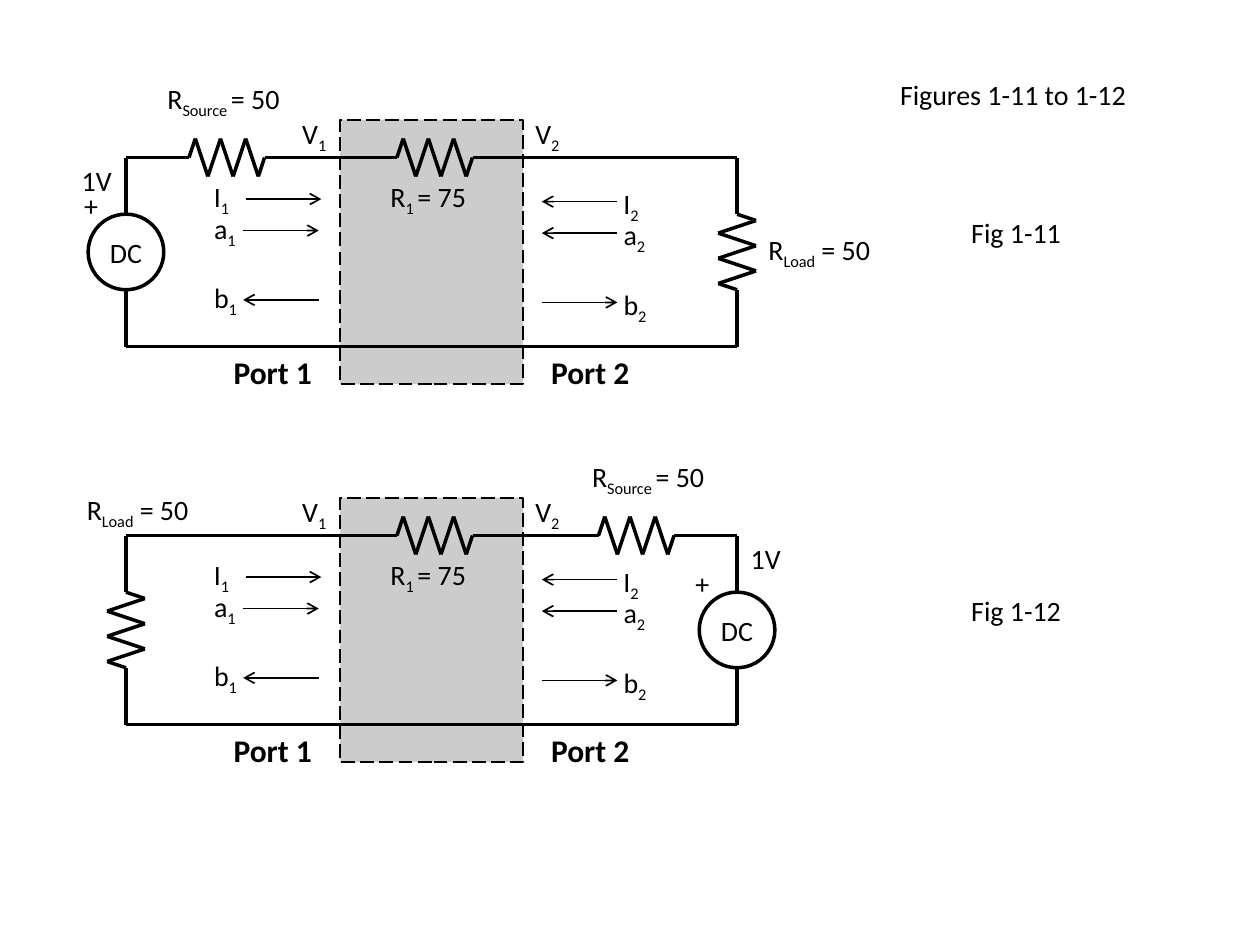
from lxml import etree
from pptx import Presentation
from pptx.dml.color import RGBColor
from pptx.enum.dml import MSO_LINE
from pptx.enum.shapes import MSO_CONNECTOR, MSO_SHAPE
from pptx.enum.text import MSO_ANCHOR, MSO_AUTO_SIZE, PP_ALIGN
from pptx.oxml.ns import qn
from pptx.util import Emu, Pt

STRAIGHT = MSO_CONNECTOR.STRAIGHT
CENTER, LEFT = PP_ALIGN.CENTER, PP_ALIGN.LEFT
BLACK = RGBColor(0, 0, 0)
FONT = "Calibri"
EMU_PER_PX = 9144  # 100 px to the inch

CIRCUIT_WIDTH, CIRCUIT_HEIGHT = 485, 150
PART_SIZE = 60  # length of a resistor, diameter of the source
PART_TOP = 45
R1_LEFT = 215
ZIGZAG = [(0, 0), (5, -15), (15, 15), (25, -15), (35, 15), (45, -15), (55, 15), (60, 0)]


def px(*lengths):
    return [Emu(length * EMU_PER_PX) for length in lengths]


def write(paragraph, parts, size=16, bold=False, align=LEFT):
    """Write the parts as runs; every second one is a subscript."""
    paragraph.alignment = align
    for index, part in enumerate(parts):
        run = paragraph.add_run()
        run.text = part
        run.font.name, run.font.size, run.font.bold = FONT, Pt(size), bold
        run.font.color.rgb = BLACK
        if index % 2:
            run.font._element.set("baseline", "-25000")


def add_label(slide, left, top, width, *parts, height=37, **style):
    frame = slide.shapes.add_textbox(*px(left, top, width, height)).text_frame
    frame.word_wrap = False
    frame.auto_size = MSO_AUTO_SIZE.SHAPE_TO_FIT_TEXT
    write(frame.paragraphs[0], parts, **style)


def add_line(shapes, start, end, width=2, arrow=False):
    connector = shapes.add_connector(STRAIGHT, *px(*start, *end))
    connector.line.color.rgb = BLACK
    connector.line.width = Pt(width)
    if arrow:
        etree.SubElement(connector.line._get_or_add_ln(), qn("a:tailEnd"), type="arrow")
    etree.SubElement(connector._element.spPr, qn("a:effectLst"))


def add_resistor(slide, left, top, vertical=False):
    """Draw a zigzag that starts at the given point."""
    group = slide.shapes.add_group_shape()
    points = [(left - across, top + along) if vertical else (left + along, top + across)
              for along, across in ZIGZAG]
    for start, end in zip(points, points[1:]):
        add_line(group.shapes, start, end)


def add_two_port(slide, left, top):
    box = slide.shapes.add_shape(MSO_SHAPE.RECTANGLE, *px(left + 170, top - 30, 145, 210))
    box.shadow.inherit = False
    box.fill.solid()
    box.fill.fore_color.rgb = BLACK
    color = box._element.spPr.find(qn("a:solidFill"))[0]
    etree.SubElement(color, qn("a:alpha"), val="20000")
    box.line.color.rgb = BLACK
    box.line.width = Pt(1)
    box.line.dash_style = MSO_LINE.LONG_DASH
    add_label(slide, left + 200, top + 13, 82, "R", "1 ", "= 75")


def add_port_labels(slide, left, top):
    ports = [("1", 130, 75, 60, 93, 0), ("2", 315, 327, 385, 330, 5)]
    for port, voltage_left, name_left, wave_left, arrow_left, drop in ports:
        add_label(slide, left + voltage_left, top - 37, 41, "V", port)
        add_label(slide, left + name_left, top + CIRCUIT_HEIGHT, 83, f"Port {port}",
                  height=40, size=18, bold=True, align=CENTER)
        for name, wave_top, width in [("I", 13, 33), ("a", 38, 38), ("b", 93, 39)]:
            add_label(slide, left + wave_left, top + wave_top + drop, width, name, port)
            arrow_y = top + wave_top + 20 + drop * 2 // 5
            nudge = 2 if name + port == "I1" else 0
            start = left + arrow_left + nudge
            ends = [(start, arrow_y), (start + 60, arrow_y)]
            points_right = (port == "1") != (name == "b")
            if not points_right:
                ends.reverse()
            add_line(slide.shapes, *ends, width=1, arrow=True)


def add_wires(slide, left, top, source_resistor):
    """Draw the rails, broken at the resistors, and the stubs at both sides."""
    bottom = top + CIRCUIT_HEIGHT
    add_line(slide.shapes, (left, bottom), (left + CIRCUIT_WIDTH, bottom))
    start = 0
    for resistor in sorted([source_resistor, R1_LEFT]):
        add_line(slide.shapes, (left + start, top), (left + resistor, top))
        add_resistor(slide, left + resistor, top)
        start = resistor + PART_SIZE
    add_line(slide.shapes, (left + start, top), (left + CIRCUIT_WIDTH, top))
    for x in (left, left + CIRCUIT_WIDTH):
        add_line(slide.shapes, (x, top), (x, top + PART_TOP))
        add_line(slide.shapes, (x, top + PART_TOP + PART_SIZE), (x, bottom))


def add_source(slide, center, top):
    source = slide.shapes.add_shape(
        MSO_SHAPE.OVAL, *px(center - PART_SIZE // 2, top, PART_SIZE, PART_SIZE))
    source.shadow.inherit = False
    source.fill.background()
    source.line.color.rgb = BLACK
    source.line.width = Pt(2)
    frame = source.text_frame
    frame.margin_left = frame.margin_right = frame.margin_top = frame.margin_bottom = 0
    frame.vertical_anchor = MSO_ANCHOR.MIDDLE
    write(frame.paragraphs[0], ["DC"], align=CENTER)


def add_circuit(slide, left, top, caption, source_on_left):
    if source_on_left:
        source_x, load_x, source_resistor = 0, CIRCUIT_WIDTH, 50
        source_label, load_label = (23, -65), (500, 55)
        volt_label, plus_label = (-45, 0), (-43, 20)
    else:
        source_x, load_x, source_resistor = CIRCUIT_WIDTH, 0, 375
        source_label, load_label = (360, -65), (-41, -39)
        volt_label, plus_label = (486, 0), (442, 20)
    add_two_port(slide, left, top)
    add_wires(slide, left, top, source_resistor)
    add_source(slide, left + source_x, top + PART_TOP)
    add_resistor(slide, left + load_x, top + PART_TOP, vertical=True)
    add_port_labels(slide, left, top)
    for (x, y), width, parts in [
        (source_label, 115, ("R", "Source ", "= 50")),
        (load_label, 115, ("R", "Load", " = 50")),
        (volt_label, 44, ("1V",)),
        (plus_label, 31, ("+",)),
        ((661, 41), 92, (caption,)),
    ]:
        add_label(slide, left + x, top + y, width, *parts)


def add_title(slide, left, top, width, height):
    title = slide.shapes.title
    title.left, title.top, title.width, title.height = px(left, top, width, height)
    title.text_frame.vertical_anchor = MSO_ANCHOR.MIDDLE
    write(title.text_frame.paragraphs[0], ["Figures 1-11 to 1-12"], align=CENTER)


def main():
    presentation = Presentation()
    presentation.slide_width, presentation.slide_height = px(1000, 750)
    slide = presentation.slides.add_slide(presentation.slide_layouts[5])
    add_title(slide, 658, 30, 292, 90)
    add_circuit(slide, 100, 125, "Fig 1-11", source_on_left=True)
    add_circuit(slide, 100, 425, "Fig 1-12", source_on_left=False)
    presentation.save("out.pptx")


if __name__ == "__main__":
    main()
